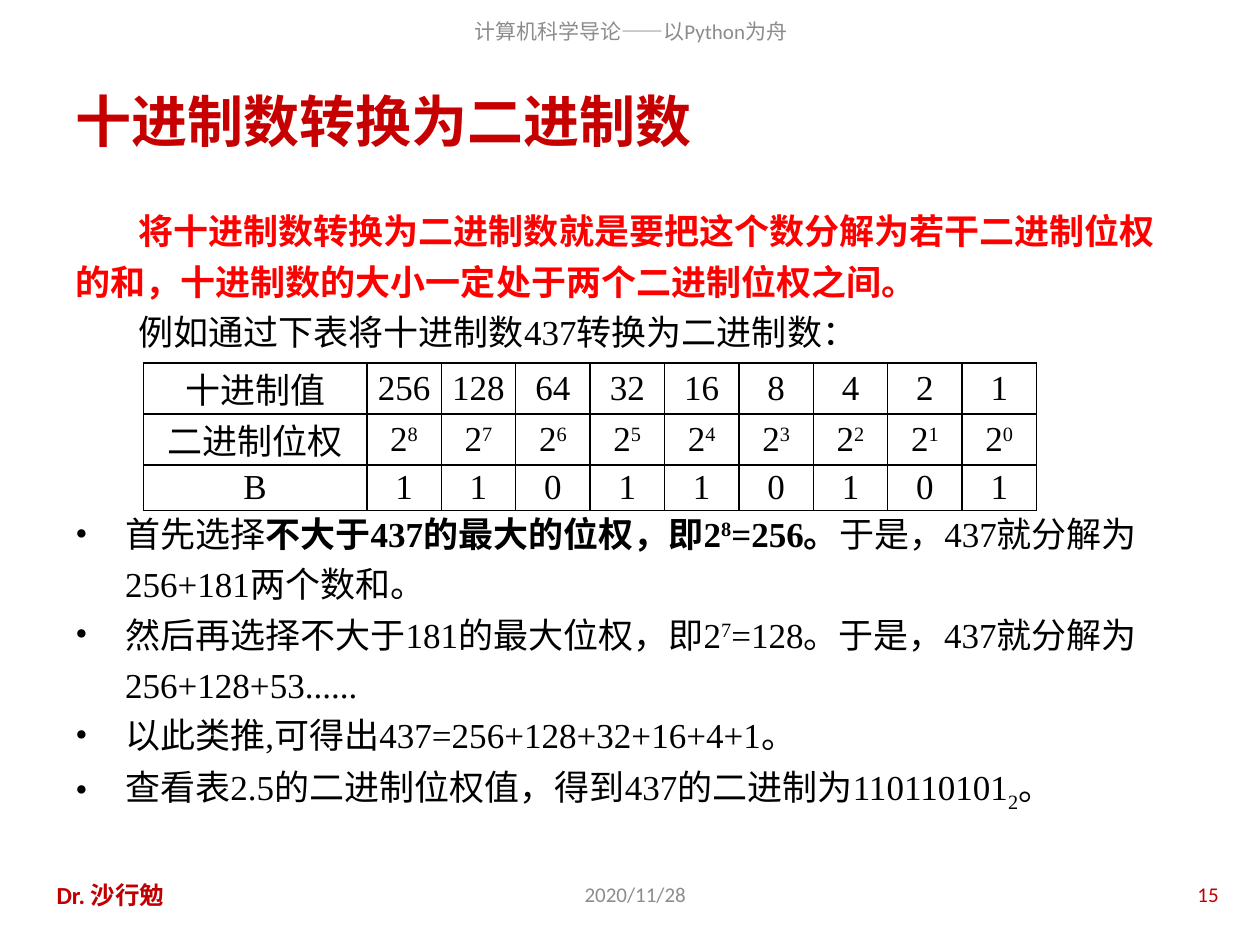
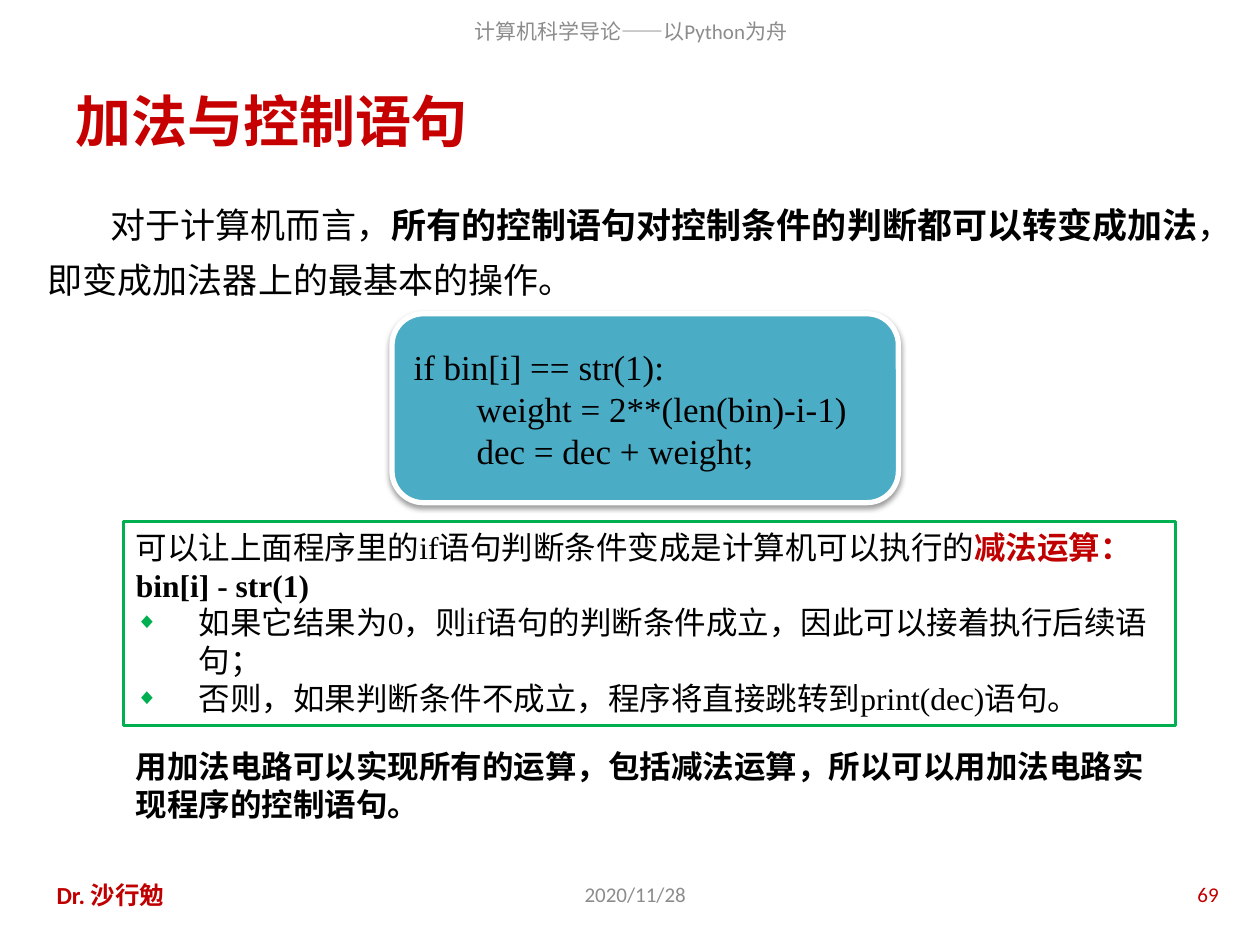
from collections import namedtuple
from dataclasses import dataclass

from lxml import etree
from pptx import Presentation
from pptx import util as u
from pptx.dml import color
from pptx.enum import shapes, text
from pptx.oxml import ns

Box = namedtuple("Box", "left top width height")


@dataclass(frozen=True)
class Theme:
    heading_font: str = "Calibri"
    body_font: str = "Times New Roman"
    title_red: str = "C60000"
    accent_red: str = "C00000"
    bright_red: str = "FF0000"
    grey: str = "8C8C8C"
    black: str = "000000"
    white: str = "FFFFFF"
    green: str = "00B050"
    teal: str = "4BACC6"
    title_size: int = 32
    body_size: int = 20
    note_size: int = 18
    author_size: int = 14
    footer_size: int = 12


THEME = Theme()
PAGE = Box(0, 0, 720, 540)
INDENT = 36
CENTER, RIGHT = text.PP_ALIGN.CENTER, text.PP_ALIGN.RIGHT
MIDDLE = text.MSO_ANCHOR.MIDDLE

BODY = dict(name=THEME.body_font, size=THEME.body_size, color=THEME.black)
NOTE = {**BODY, "size": THEME.note_size}
TITLE = dict(name=THEME.heading_font, size=THEME.title_size,
             color=THEME.title_red, bold=True)
FOOTER = dict(name=THEME.heading_font, size=THEME.footer_size, color=THEME.grey)
PAGE_NUMBER = {**FOOTER, "color": THEME.accent_red}
AUTHOR = {**PAGE_NUMBER, "size": THEME.author_size, "bold": True}
CONCLUSION = {**NOTE, "name": THEME.heading_font, "bold": True}
BOLD = dict(bold=True)
SUPERSCRIPT = dict(baseline=30)
SUBSCRIPT = dict(baseline=-25)


def points(box):
    return [u.Pt(value) for value in box]


def rgb(code):
    return color.RGBColor.from_string(code)


def add_child(parent, tag, **attributes):
    return etree.SubElement(parent, ns.qn(tag), attributes)


def add_run(paragraph, content, style):
    run = paragraph.add_run()
    run.text = content
    for key, value in style.items():
        if key == "color":
            run.font.color.rgb = rgb(value)
        elif key == "baseline":
            run._r.get_or_add_rPr().set("baseline", str(value * 1000))
        else:
            setattr(run.font, key, u.Pt(value) if key == "size" else value)


def set_indent(paragraph, left, first, bullet=None, bullet_color=THEME.black,
               bullet_percent=100):
    properties = paragraph._p.get_or_add_pPr()
    properties.set("marL", str(u.Pt(left)))
    properties.set("indent", str(u.Pt(first)))
    if bullet:
        add_child(add_child(properties, "a:buClr"), "a:srgbClr", val=bullet_color)
        add_child(properties, "a:buSzPct", val=str(bullet_percent * 1000))
        add_child(properties, "a:buFont", typeface=THEME.body_font)
        add_child(properties, "a:buChar", char=bullet)


def write(frame, paragraphs, style, **common):
    """Each paragraph is (runs, format); a run is a string or (string, style)."""
    for index, (runs, own) in enumerate(paragraphs):
        paragraph = frame.paragraphs[0] if index == 0 else frame.add_paragraph()
        layout = {**common, **own}
        indent = layout.pop("indent", None)
        for key, value in layout.items():
            setattr(paragraph, key, value)
        if indent:
            set_indent(paragraph, *indent)
        for run in runs:
            content, change = (run, {}) if isinstance(run, str) else run
            add_run(paragraph, content, {**style, **change})


def add_text(slide, box, paragraphs, style, anchor=text.MSO_ANCHOR.TOP, **common):
    frame = slide.shapes.add_textbox(*points(box)).text_frame
    frame.word_wrap = True
    frame.vertical_anchor = anchor
    write(frame, paragraphs, style, **common)


def add_panel(slide, kind, box, line_color, line_width, fill=None):
    shape = slide.shapes.add_shape(kind, *points(box))
    shape.shadow.inherit = False
    if fill:
        shape.fill.solid()
        shape.fill.fore_color.rgb = rgb(fill)
    else:
        shape.fill.background()
    shape.line.color.rgb = rgb(line_color)
    shape.line.width = u.Pt(line_width)
    shape.text_frame.word_wrap = True
    return shape


def add_frame(slide, box, title, number):
    """Running head, title and footer."""
    bottom = box.top + box.height - 43.2
    parts = [
        (Box(box.left + 111, box.top + 3.6, 499, 28),
         "计算机科学导论——以Python为舟", FOOTER, CENTER),
        (Box(box.left + 36, box.top + 43.2, 648, 50.4), title, TITLE, None),
        (Box(box.left + 241, bottom, 244, 28.8), "2020/11/28", FOOTER, CENTER),
        (Box(box.left + 25.2, bottom, 159, 28.8), "Dr. 沙行勉", AUTHOR, None),
        (Box(box.left + 535.7, bottom, 167.8, 28.8), number, PAGE_NUMBER, RIGHT),
    ]
    for part, content, style, alignment in parts:
        add_text(slide, part, [([content], {})], style, MIDDLE, alignment=alignment)


def format_cell(cell):
    margins = dict(margin_left=5, margin_right=5, margin_top=0, margin_bottom=0)
    for key, value in margins.items():
        setattr(cell, key, u.Pt(value))
    cell.vertical_anchor = MIDDLE
    properties = cell._tc.get_or_add_tcPr()
    for side in "LRTB":
        line = add_child(properties, "a:ln" + side, w=str(u.Pt(1)))
        add_child(add_child(line, "a:solidFill"), "a:srgbClr", val=THEME.black)
    cell.fill.background()


def add_weight_table(slide, box, number, bits=9):
    """Place values, powers of two and the binary digits of number."""
    powers = range(bits - 1, -1, -1)
    rows = [
        [["十进制值"]] + [[str(2 ** power)] for power in powers],
        [["二进制位权"]] + [["2", (str(power), SUPERSCRIPT)] for power in powers],
        [["B"]] + [[digit] for digit in f"{number:0{bits}b}"],
    ]
    table = slide.shapes.add_table(len(rows), bits + 1, *points(box)).table
    table.first_row = table.horz_banding = False
    label_width = box.width / 4
    for index, column in enumerate(table.columns):
        column.width = u.Pt((box.width - label_width) / bits if index else label_width)
    label_height = 29.2
    heights = (label_height, label_height, box.height - 2 * label_height)
    for row, height in zip(table.rows, heights):
        row.height = u.Pt(height)
    for row_index, row in enumerate(rows):
        for column_index, runs in enumerate(row):
            cell = table.cell(row_index, column_index)
            format_cell(cell)
            write(cell.text_frame, [(runs, {})], BODY, alignment=CENTER)


def add_conversion(slide, box):
    first_line = dict(indent=(0, INDENT))
    step = dict(indent=(28.4, -28.4, "•"))
    table_gap = dict(space_before=u.Pt(86.4))
    paragraphs = [
        ([("将十进制数转换为二进制数就是要把这个数分解为若干二进制位权的和，"
           "十进制数的大小一定处于两个二进制位权之间。",
           dict(color=THEME.bright_red, bold=True))], first_line),
        (["例如通过下表将十进制数437转换为二进制数："], first_line),
        (["首先选择", ("不大于437的最大的位权，即2", BOLD),
          ("8", {**BOLD, **SUPERSCRIPT}), ("=256。", BOLD),
          "于是，437就分解为256+181两个数和。"], {**step, **table_gap}),
        (["然后再选择不大于181的最大位权，即2", ("7", SUPERSCRIPT),
          "=128。于是，437就分解为256+128+53......"], step),
        (["以此类推,可得出437=256+128+32+16+4+1。"], step),
        (["查看表2.5的二进制位权值，得到437的二进制为110110101",
          ("2", SUBSCRIPT), "。"], step),
    ]
    add_text(slide, box, paragraphs, BODY, line_spacing=1.2)
    add_weight_table(slide, Box(box.left + 46, box.top + 95.8, 510.5, 84.4), 437)


def add_code(slide, box):
    panel = add_panel(slide, shapes.MSO_SHAPE.ROUNDED_RECTANGLE, box,
                      THEME.white, 3, THEME.teal)
    effects = panel._element.spPr.find(ns.qn("a:effectLst"))
    shadow = add_child(effects, "a:outerShdw", blurRad=str(u.Pt(3.1)),
                       dist=str(u.Pt(1.6)), dir="5400000", rotWithShape="0")
    shade = add_child(shadow, "a:srgbClr", val=THEME.black)
    add_child(shade, "a:alpha", val="38000")
    panel.text_frame.vertical_anchor = MIDDLE
    nested = dict(indent=(0, INDENT))
    write(panel.text_frame, [
        (["if bin[i] == str(1):"], {}),
        (["weight = 2**(len(bin)-i-1)"], nested),
        (["dec = dec + weight;"], nested),
    ], BODY, alignment=text.PP_ALIGN.LEFT)


def add_subtraction_note(slide, box):
    panel = add_panel(slide, shapes.MSO_SHAPE.RECTANGLE, box, THEME.green, 1.5)
    frame = panel.text_frame
    frame.auto_size = text.MSO_AUTO_SIZE.SHAPE_TO_FIT_TEXT
    frame.vertical_anchor = text.MSO_ANCHOR.TOP
    case = dict(indent=(INDENT, -INDENT, "◆", THEME.green, 70))
    write(frame, [
        (["可以让上面程序里的if语句判断条件变成是计算机可以执行的",
          ("减法运算：", dict(color=THEME.accent_red, bold=True)),
          ("bin[i] - str(1)", BOLD)], {}),
        (["如果它结果为0，则if语句的判断条件成立，因此可以接着执行后续语句；"], case),
        (["否则，如果判断条件不成立，程序将直接跳转到print(dec)语句。"], case),
    ], NOTE, alignment=text.PP_ALIGN.LEFT)


def add_control(slide, box):
    add_text(slide, box, [([
        "对于计算机而言，",
        ("所有的控制语句对控制条件的判断都可以转变成加法", BOLD),
        "，即变成加法器上的最基本的操作。"], dict(indent=(0, INDENT)))],
        BODY, line_spacing=1.3)
    add_code(slide, Box(box.left + 203.8, box.top + 73.5, 289.4, 108))
    note = Box(box.left + 50.4, box.top + 192.2, 601.2, 116.6)
    add_subtraction_note(slide, note)
    conclusion = Box(note.left, note.top + 125.3, note.width, 51)
    add_text(slide, conclusion, [([
        "用加法电路可以实现所有的运算，包括减法运算，"
        "所以可以用加法电路实现程序的控制语句。"], {})], CONCLUSION)


def main():
    presentation = Presentation()
    presentation.slide_width = u.Pt(PAGE.width)
    presentation.slide_height = u.Pt(PAGE.height)
    pages = [
        ("十进制数转换为二进制数", "15", add_conversion, Box(36, 111.6, 648, 370.8)),
        ("加法与控制语句", "69", add_control, Box(20.2, 105.8, 674.6, 380.2)),
    ]
    for title, number, add_content, box in pages:
        slide = presentation.slides.add_slide(presentation.slide_layouts[6])
        add_frame(slide, PAGE, title, number)
        add_content(slide, box)
    presentation.save("out.pptx")


if __name__ == "__main__":
    main()
